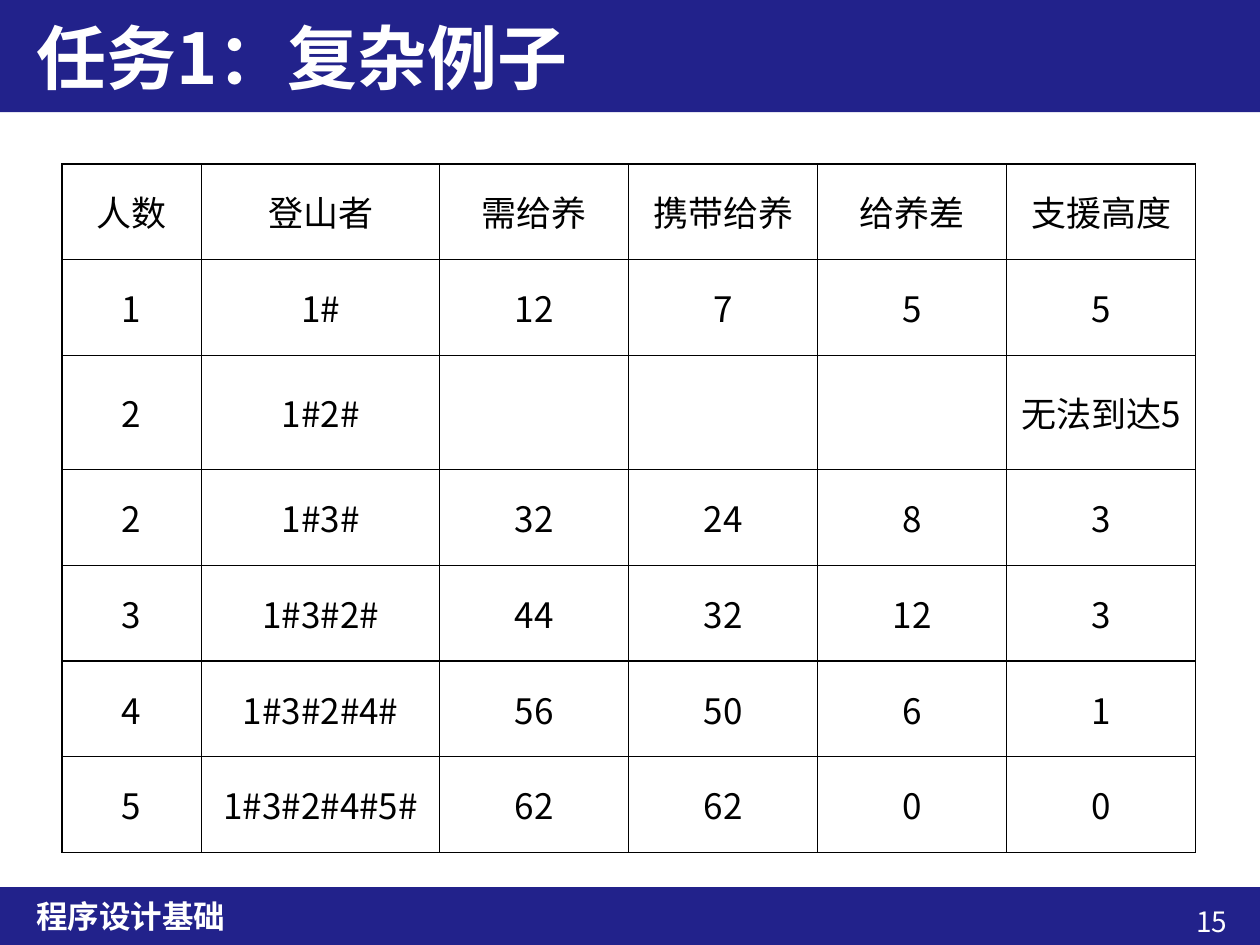
from collections import namedtuple
from dataclasses import dataclass

from lxml.etree import SubElement
from pptx import Presentation
from pptx.dml.color import RGBColor
from pptx.enum.shapes import MSO_SHAPE as Preset
from pptx.enum.text import MSO_ANCHOR as Anchor, MSO_AUTO_SIZE as AutoSize, PP_ALIGN as Align
from pptx.oxml.ns import qn
from pptx.util import Inches, Pt

Box = namedtuple("Box", "left top width height")


@dataclass(frozen=True)
class Theme:
    font: str = "Noto Sans CJK SC"
    bar: RGBColor = RGBColor(0x22, 0x22, 0x8B)
    light: RGBColor = RGBColor(0xFF, 0xFF, 0xFF)
    dark: RGBColor = RGBColor(0, 0, 0)
    title_size: int = 40
    table_size: int = 20
    course_size: int = 18
    number_size: int = 16
    border: float = 1


THEME = Theme()
SLIDE = Box(0, 0, 10, 7.5)
HEADER = Box(-0.01, 0, 10.01, 0.89)
FOOTER = Box(-0.01, 7.04, 10.01, 0.46)
TABLE = Box(0.49, 1.3, 9, 5.32)
TEXT_INDENT, TEXT_WIDTH = 0.2, 9.6
COLUMN_WIDTHS = [1.11, 1.89] + [1.5] * 4
ROWS = [
    ["人数", "登山者", "需给养", "携带给养", "给养差", "支援高度"],
    ["1", "1#", "12", "7", "5", "5"],
    ["2", "1#2#", "", "", "", "无法到达5"],
    ["2", "1#3#", "32", "24", "8", "3"],
    ["3", "1#3#2#", "44", "32", "12", "3"],
    ["4", "1#3#2#4#", "56", "50", "6", "1"],
    ["5", "1#3#2#4#5#", "62", "62", "0", "0"],
]


def inches(box):
    return [Inches(length) for length in box]


def write(text_frame, text, size, color, bold=False, align=Align.LEFT):
    text_frame.text = text
    paragraph = text_frame.paragraphs[0]
    paragraph.alignment = align
    for run in paragraph.runs:
        run.font.size = Pt(size)
        run.font.bold = bold
        run.font.color.rgb = color
        run.font.name = THEME.font
        SubElement(run.font._element, qn("a:ea"), typeface=THEME.font)


def add_bar(slide, box):
    bar = slide.shapes.add_shape(Preset.RECTANGLE, *inches(box))
    bar.shadow.inherit = False
    bar.fill.solid()
    bar.fill.fore_color.rgb = THEME.bar
    bar.line.fill.background()
    return bar


def place_text(shape, box, anchor):
    shape.left, shape.top, shape.width, shape.height = inches(box)
    text_frame = shape.text_frame
    text_frame.word_wrap = True
    text_frame.auto_size = AutoSize.NONE
    text_frame.vertical_anchor = anchor
    return text_frame


def text_area(bar_box):
    return bar_box._replace(left=bar_box.left + TEXT_INDENT, width=TEXT_WIDTH)


def add_header(slide, box, text):
    bar = add_bar(slide, box)
    title = slide.shapes.title
    bar.element.addnext(title.element)
    text_frame = place_text(title, text_area(box), Anchor.MIDDLE)
    write(text_frame, text, THEME.title_size, THEME.light, bold=True)


def add_footer(slide, box, course, number):
    add_bar(slide, box)
    area = text_area(box)
    text_frame = place_text(slide.shapes.add_textbox(*inches(area)), area, Anchor.MIDDLE)
    write(text_frame, course, THEME.course_size, THEME.light, bold=True)
    area = Box(box.left + 8.6, box.top + 0.09, 1.25, 0.37)
    text_frame = place_text(slide.shapes.add_textbox(*inches(area)), area, Anchor.TOP)
    write(text_frame, number, THEME.number_size, THEME.light, align=Align.RIGHT)


def add_borders(cell):
    properties = cell._tc.get_or_add_tcPr()
    for side in ("lnL", "lnR", "lnT", "lnB"):
        line = SubElement(properties, qn(f"a:{side}"), w=str(Pt(THEME.border)))
        fill = SubElement(line, qn("a:solidFill"))
        SubElement(fill, qn("a:srgbClr"), val=str(THEME.dark))


def add_supply_table(slide, box, rows):
    table = slide.shapes.add_table(len(rows), len(COLUMN_WIDTHS), *inches(box)).table
    table.first_row = table.horz_banding = False
    for column, width in zip(table.columns, COLUMN_WIDTHS):
        column.width = Inches(width)
    for row, values in zip(table.rows, rows):
        row.height = Inches(box.height / len(rows))
        for cell, value in zip(row.cells, values):
            add_borders(cell)
            cell.fill.background()
            cell.vertical_anchor = Anchor.MIDDLE
            write(cell.text_frame, value, THEME.table_size, THEME.dark, align=Align.CENTER)


def main():
    presentation = Presentation()
    presentation.slide_width = Inches(SLIDE.width)
    presentation.slide_height = Inches(SLIDE.height)
    slide = presentation.slides.add_slide(presentation.slide_layouts.get_by_name("Title Only"))
    add_footer(slide, FOOTER, "程序设计基础", "15")
    add_header(slide, HEADER, "任务1：复杂例子")
    add_supply_table(slide, TABLE, ROWS)
    presentation.save("out.pptx")


if __name__ == "__main__":
    main()
